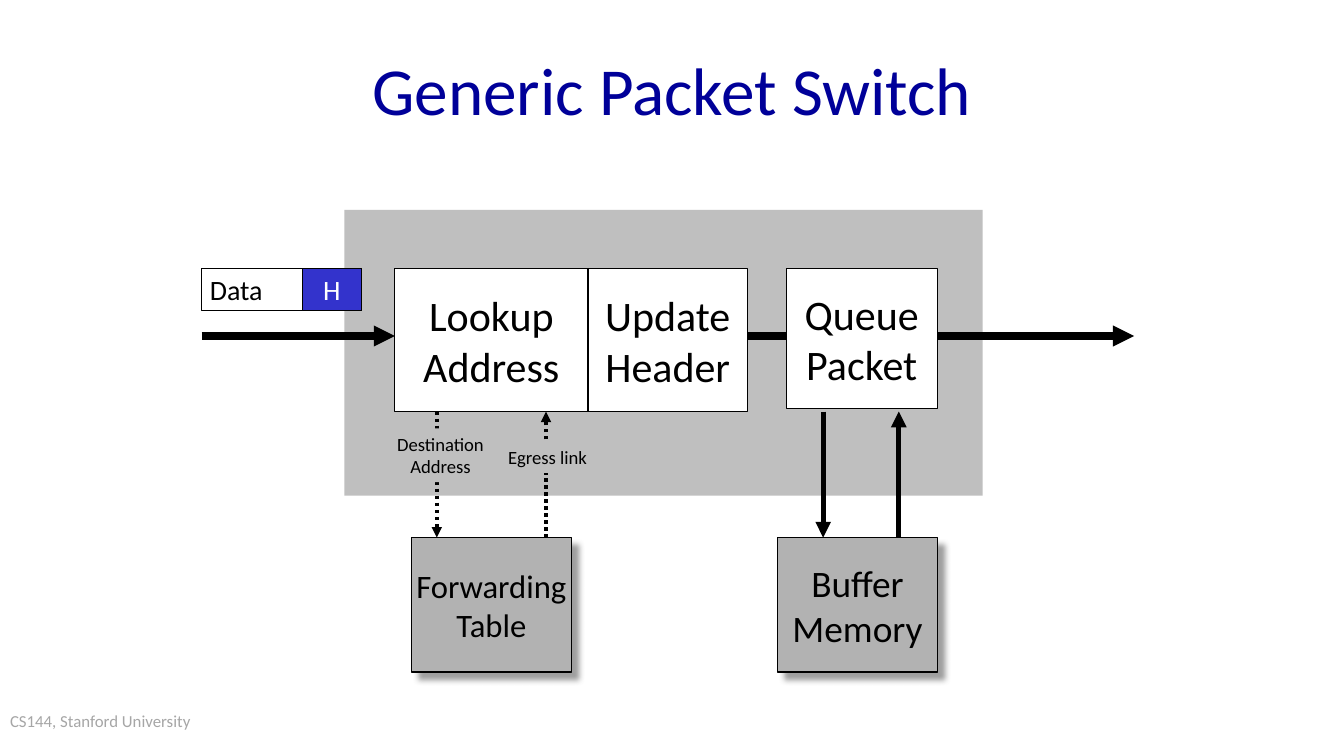
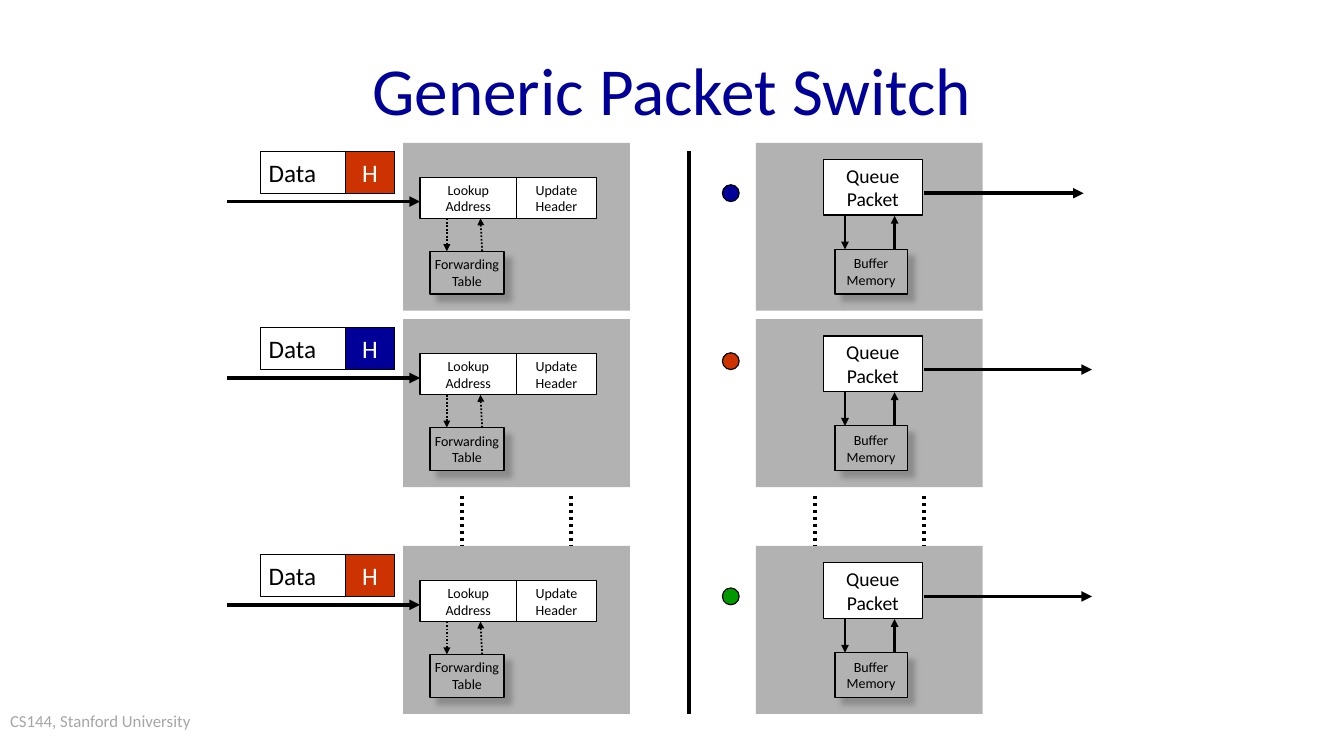
import pptx
import pptx.dml.color
import pptx.enum.dml
import pptx.enum.shapes
import pptx.enum.text
import pptx.oxml
import pptx.oxml.ns
import pptx.util

Pt = pptx.util.Pt
RGBColor = pptx.dml.color.RGBColor
MSO_SHAPE = pptx.enum.shapes.MSO_SHAPE
PP_ALIGN = pptx.enum.text.PP_ALIGN
MSO_ANCHOR = pptx.enum.text.MSO_ANCHOR

FONT = "Calibri"
BLACK = RGBColor(0x00, 0x00, 0x00)
WHITE = RGBColor(0xFF, 0xFF, 0xFF)
NAVY = RGBColor(0x00, 0x00, 0x99)
BLUE = RGBColor(0x33, 0x33, 0xCC)
RED = RGBColor(0xCC, 0x33, 0x00)
GREEN = RGBColor(0x00, 0x99, 0x00)
PALE_GRAY = RGBColor(0xBF, 0xBF, 0xBF)
GRAY = RGBColor(0xB2, 0xB2, 0xB2)
FOOTER_GRAY = RGBColor(0xA6, 0xA6, 0xA6)

A_NS = pptx.oxml.ns.nsdecls("a")
SHADOW = (
    f'<a:effectLst {A_NS}><a:outerShdw blurRad="{Pt(5)}" dist="{Pt(8.5)}" dir="2700000" '
    'algn="tl" rotWithShape="0"><a:srgbClr val="808080"><a:alpha val="75000"/></a:srgbClr>'
    '</a:outerShdw></a:effectLst>'
)
NO_EFFECT = f"<a:effectLst {A_NS}/>"
ARROWHEAD = f'<a:tailEnd {A_NS} type="triangle"/>'


def set_text(sp, text, size, color=BLACK, align=PP_ALIGN.CENTER, anchor=MSO_ANCHOR.MIDDLE, wrap=False):
    tf = sp.text_frame
    tf.word_wrap = wrap
    tf.vertical_anchor = anchor
    tf.text = text
    for p in tf.paragraphs:
        p.alignment = align
        for r in p.runs:
            r.font.name = FONT
            r.font.size = Pt(size)
            r.font.color.rgb = color


def add_box(slide, x, y, w, h, fill, text="", size=12, color=BLACK, outline=True,
            shape=MSO_SHAPE.RECTANGLE, **text_style):
    sp = slide.shapes.add_shape(shape, Pt(x), Pt(y), Pt(w), Pt(h))
    sp.shadow.inherit = False
    sp.fill.solid()
    sp.fill.fore_color.rgb = fill
    if outline:
        sp.line.color.rgb = BLACK
        sp.line.width = Pt(1)
    else:
        sp.line.fill.background()
    if text:
        set_text(sp, text, size, color, **text_style)
    return sp


def add_store(slide, x, y, w, h, text, size):
    sp = add_box(slide, x, y, w, h, GRAY, text, size)
    spPr = sp._element.spPr
    spPr.remove(spPr.find(pptx.oxml.ns.qn("a:effectLst")))
    spPr.append(pptx.oxml.parse_xml(SHADOW))


def add_line(slide, x1, y1, x2, y2, width, dotted=False, arrow=True):
    line = slide.shapes.add_connector(
        pptx.enum.shapes.MSO_CONNECTOR.STRAIGHT, Pt(x1), Pt(y1), Pt(x2), Pt(y2))
    line.line.color.rgb = BLACK
    line.line.width = Pt(width)
    if dotted:
        line.line.dash_style = pptx.enum.dml.MSO_LINE.ROUND_DOT
    if arrow:
        line.line._get_or_add_ln().append(pptx.oxml.parse_xml(ARROWHEAD))
    line._element.spPr.append(pptx.oxml.parse_xml(NO_EFFECT))


def add_textbox(slide, x, y, w, h, *text, **text_style):
    sp = slide.shapes.add_textbox(Pt(x), Pt(y), Pt(w), Pt(h))
    set_text(sp, *text, wrap=True, **text_style)
    return sp


def add_packet(slide, x, y, w, header_w, header_fill, size):
    add_box(slide, x, y, w, 36, WHITE, "Data", size, align=PP_ALIGN.LEFT)
    add_box(slide, x + w - header_w, y, header_w, 36, header_fill, "H", size, WHITE)


def new_slide(prs):
    slide = prs.slides.add_slide(prs.slide_layouts[6])
    footer = add_textbox(slide, 0, 604.8, 278.64, 43.2, "CS144, Stanford University", 14.4,
                         FOOTER_GRAY, align=PP_ALIGN.LEFT, anchor=MSO_ANCHOR.TOP)
    tf = footer.text_frame
    tf.margin_left = tf.margin_right = Pt(8.64)
    tf.margin_top = tf.margin_bottom = Pt(4.32)
    add_textbox(slide, 208.8, 21.6, 734.4, 108, "Generic Packet Switch", 57.6, NAVY)
    return slide


def draw_switch(slide, x, y, w, h):
    add_box(slide, x, y, w, h, PALE_GRAY, outline=False)
    stage_y, path_y = y + 50.4, y + 108
    store_y, link_y = y + 280.8, y + 172.8
    add_box(slide, x + 43.2, stage_y, 165.6, 122.4, WHITE, "Lookup\nAddress", 36)
    add_line(slide, x - 122.4, path_y, x + 43.2, path_y, 6)
    add_packet(slide, x - 122.4, stage_y, 136.8, 50.4, BLUE, 24)
    add_line(slide, x + 345.6, path_y, x + 676.8, path_y, 6)

    add_line(slide, x + 79.2, link_y, x + 79.2, store_y, 3, dotted=True)
    add_box(slide, x + 37.4, y + 187.2, 90, 46.1, PALE_GRAY, "Destination\nAddress", 16,
            outline=False, anchor=MSO_ANCHOR.TOP)
    add_store(slide, x + 57.6, store_y, 136.8, 115.2, "Forwarding\nTable", 28)
    add_line(slide, x + 172.8, store_y, x + 172.8, link_y, 3, dotted=True)
    add_box(slide, x + 133.2, y + 198.7, 82.8, 26.6, PALE_GRAY, "Egress link", 16,
            outline=False, anchor=MSO_ANCHOR.TOP, align=PP_ALIGN.LEFT)

    add_box(slide, x + 378.7, stage_y, 129.6, 119.5, WHITE, "Queue\nPacket", 36)
    add_store(slide, x + 371.5, store_y, 136.8, 115.2, "Buffer\nMemory", 32)
    add_line(slide, x + 410.4, link_y, x + 410.4, store_y, 4.5)
    add_line(slide, x + 475.2, store_y, x + 475.2, link_y, 4.5)
    add_box(slide, x + 208.8, stage_y, 136.8, 122.4, WHITE, "Update\nHeader", 36)


def draw_input(slide, x, y, w, h, header_fill):
    add_box(slide, x, y, w, h, GRAY, outline=False)
    add_box(slide, x + 14.4, y + 29.5, 82.8, 35.3, WHITE, "Lookup\nAddress")
    add_box(slide, x + 97.2, y + 29.5, 68.4, 35.3, WHITE, "Update\nHeader")
    add_store(slide, x + 23, y + 92.9, 63.4, 36.7, "Forwarding\nTable", 12)
    add_line(slide, x + 37.4, y + 64.8, x + 37.4, y + 92.9, 1.5, dotted=True)
    add_line(slide, x + 67.7, y + 92.9, x + 66.2, y + 64.8, 1.5, dotted=True)
    add_line(slide, x - 151.2, y + 50.4, x + 14.4, y + 50.4, 3)
    add_packet(slide, x - 122.4, y + 7.2, 115.2, 42.5, header_fill, 21.6)


def draw_output(slide, x, y, w, h, dot_fill, dot_dy, link_length):
    add_box(slide, x, y, w, h, GRAY, outline=False)
    add_box(slide, x + 57.6, y + 14.4, 85, 47.5, WHITE, "Queue\nPacket", 16.8)
    add_store(slide, x + 67.7, y + 91.4, 61.9, 38.2, "Buffer\nMemory", 12)
    add_line(slide, x + 76.3, y + 62.6, x + 76.3, y + 91.4, 2.25)
    add_line(slide, x + 118.8, y + 91.4, x + 118.8, y + 62.6, 2.25)
    add_line(slide, x + 144, y + 43.2, x + 144 + link_length, y + 43.2, 3)
    add_box(slide, x - 28.8, y + dot_dy, 14.4, 14.4, dot_fill, shape=MSO_SHAPE.OVAL)


def draw_ports(slide, input_x, output_x, w, h):
    rows = [
        (122.4, RED, NAVY, 36, 136.8),
        (273.6, NAVY, RED, 28.8, 144),
        (468, RED, GREEN, 36, 144),
    ]
    for y, header_fill, dot_fill, dot_dy, link_length in rows:
        draw_input(slide, input_x, y, w, h, header_fill)
        draw_output(slide, output_x, y, w, h, dot_fill, dot_dy, link_length)
    for x in (input_x, output_x):
        for dx in (50.4, 144):
            add_line(slide, x + dx, 424.8, x + dx, 468, 3, dotted=True, arrow=False)
    add_line(slide, 590.4, 129.6, 590.4, 612, 3, arrow=False)


def main():
    prs = pptx.Presentation()
    prs.slide_width = Pt(1152)
    prs.slide_height = Pt(648)
    draw_switch(new_slide(prs), 295.2, 180, 547.2, 244.8)
    draw_ports(new_slide(prs), 345.6, 648, 194.4, 144)
    prs.save("out.pptx")


if __name__ == "__main__":
    main()
